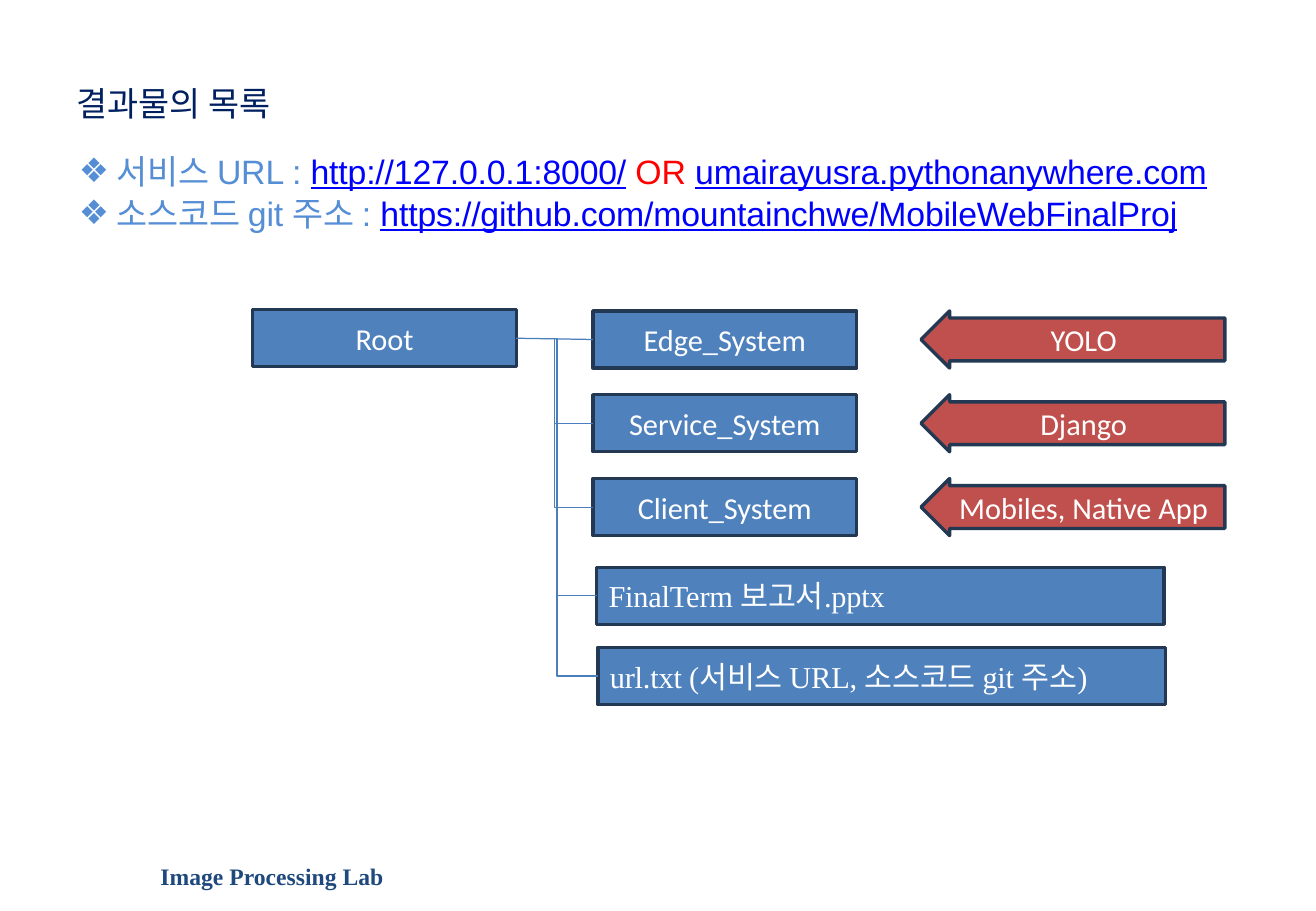
from lxml import etree
from pptx import Presentation
from pptx.dml.color import RGBColor
from pptx.enum.shapes import MSO_CONNECTOR, MSO_SHAPE
from pptx.enum.text import MSO_ANCHOR, PP_ALIGN
from pptx.oxml.ns import qn
from pptx.util import Inches, Pt

RECT, ARROW = MSO_SHAPE.RECTANGLE, MSO_SHAPE.LEFT_ARROW
STRAIGHT, ELBOW = MSO_CONNECTOR.STRAIGHT, MSO_CONNECTOR.ELBOW
CENTER, LEFT, MIDDLE = PP_ALIGN.CENTER, PP_ALIGN.LEFT, MSO_ANCHOR.MIDDLE
RIGHT_SITE, LEFT_SITE = 3, 1

COLORS = {
    "title": "002060", "label": "558ED5", "link": "0000FF", "or": "FF0000",
    "footer": "1F497D", "node": "4F81BD", "tool": "C0504D",
    "outline": "233953", "branch": "4B7EBC", "white": "FFFFFF",
}
SERIF, SANS, BODY = "Times New Roman", "Calibri", "Arial"
NODE_HEIGHT, ROW_PITCH = 0.47, 0.69


def color(name):
    return RGBColor.from_string(COLORS[name])


def add_span(para, text, color_name, spacing=0, **formats):
    span = para.add_run()
    span.text = text
    for name, value in formats.items():
        setattr(span.font, name, value)
    span.font.color.rgb = color(color_name)
    if spacing:
        span.font._element.set("spc", str(spacing))


def add_text_box(page, left, top, width, height):
    box = page.shapes.add_textbox(Inches(left), Inches(top), Inches(width), Inches(height))
    frame = box.text_frame
    margins = {"margin_left": 0, "margin_right": 0, "margin_bottom": 0,
               "margin_top": Inches(0.01), "word_wrap": True}
    for name, value in margins.items():
        setattr(frame, name, value)
    return frame


def add_bullet(para):
    props = para._p.get_or_add_pPr()
    props.set("marL", str(Inches(0.33)))
    props.set("indent", str(Inches(-0.31)))
    etree.SubElement(props, qn("a:buFont"), typeface=BODY)
    etree.SubElement(props, qn("a:buChar"), char="❖")
    tabs = etree.SubElement(props, qn("a:tabLst"))
    etree.SubElement(tabs, qn("a:tab"), pos=str(Inches(0.33)), algn="l")


def add_links(page, left, top, width, height):
    frame = add_text_box(page, left, top, width, height)
    lines = [
        [("서비스 URL : ", "label"), ("http://127.0.0.1:8000/", "link"), (" OR ", "or"),
         ("umairayusra.pythonanywhere.com", "link")],
        [("소스코드 git 주소 : ", "label"),
         ("https://github.com/mountainchwe/MobileWebFinalProj", "link")],
    ]
    for index, spans in enumerate(lines):
        para = frame.add_paragraph() if index else frame.paragraphs[0]
        add_bullet(para)
        if index:
            para.space_before = Pt(1.1)
        for text, color_name in spans:
            add_span(para, text, color_name, -10, name=BODY, size=Pt(20),
                     underline=color_name == "link")


def add_node(page, kind, text, left, top, width, fill="node", font=SANS, align=CENTER):
    node = page.shapes.add_shape(kind, Inches(left), Inches(top),
                                 Inches(width), Inches(NODE_HEIGHT))
    node.shadow.inherit = False
    node.fill.solid()
    node.fill.fore_color.rgb = color(fill)
    node.line.color.rgb = color("outline")
    node.line.width = Pt(2)
    node.text_frame.word_wrap = True
    node.text_frame.vertical_anchor = MIDDLE
    para = node.text_frame.paragraphs[0]
    para.alignment = align
    add_span(para, text, "white", -10 if font == SERIF else 0, name=font, size=Pt(18))
    return node


def add_branch(page, kind, root, node):
    branch = page.shapes.add_connector(kind, 0, 0, 0, 0)
    branch.begin_connect(root, RIGHT_SITE)
    branch.end_connect(node, LEFT_SITE)
    branch.line.color.rgb = color("branch")
    branch.line.width = Pt(0.75)
    etree.SubElement(branch._element.spPr, qn("a:effectLst"))


def add_tree(page, left, top):
    root = add_node(page, RECT, "Root", left, top, 2.17)

    # Systems, each with the tool it uses
    systems = [("Edge_System", "YOLO"), ("Service_System", "Django"),
               ("Client_System", "Mobiles, Native App")]
    for row, (system, tool) in enumerate(systems):
        row_top = top + 0.01 + row * ROW_PITCH
        node = add_node(page, RECT, system, left + 2.8, row_top, 2.17)
        add_branch(page, ELBOW if row else STRAIGHT, root, node)
        arrow = add_node(page, ARROW, tool, left + 5.5, row_top, 2.5, "tool")
        arrow.adjustments[0] = 0.75

    # Files
    files = ["FinalTerm 보고서.pptx", "url.txt (서비스 URL, 소스코드 git 주소)"]
    for row, name in enumerate(files):
        node = add_node(page, RECT, name, left + 2.83 + row * 0.01, top + 2.12 + row * 0.66,
                        4.67, font=SERIF, align=LEFT)
        add_branch(page, ELBOW, root, node)


def main():
    deck = Presentation()
    deck.slide_width, deck.slide_height = Inches(10.83), Inches(7.5)
    page = deck.slides.add_slide(deck.slide_layouts[6])

    # Footer and title
    footer = add_text_box(page, 1.32, 7.09, 1.87, 0.26)
    add_span(footer.paragraphs[0], "Image Processing Lab", "footer",
             name=SERIF, size=Pt(14), bold=True)
    title = add_text_box(page, 0.63, 0.67, 2.87, 0.35)
    add_span(title.paragraphs[0], "결과물의 목록", "title", name=SERIF, size=Pt(20))

    # Links and folder tree
    add_links(page, 0.63, 1.23, 9.79, 0.7)
    add_tree(page, 2.08, 2.55)
    deck.save("out.pptx")


if __name__ == "__main__":
    main()
